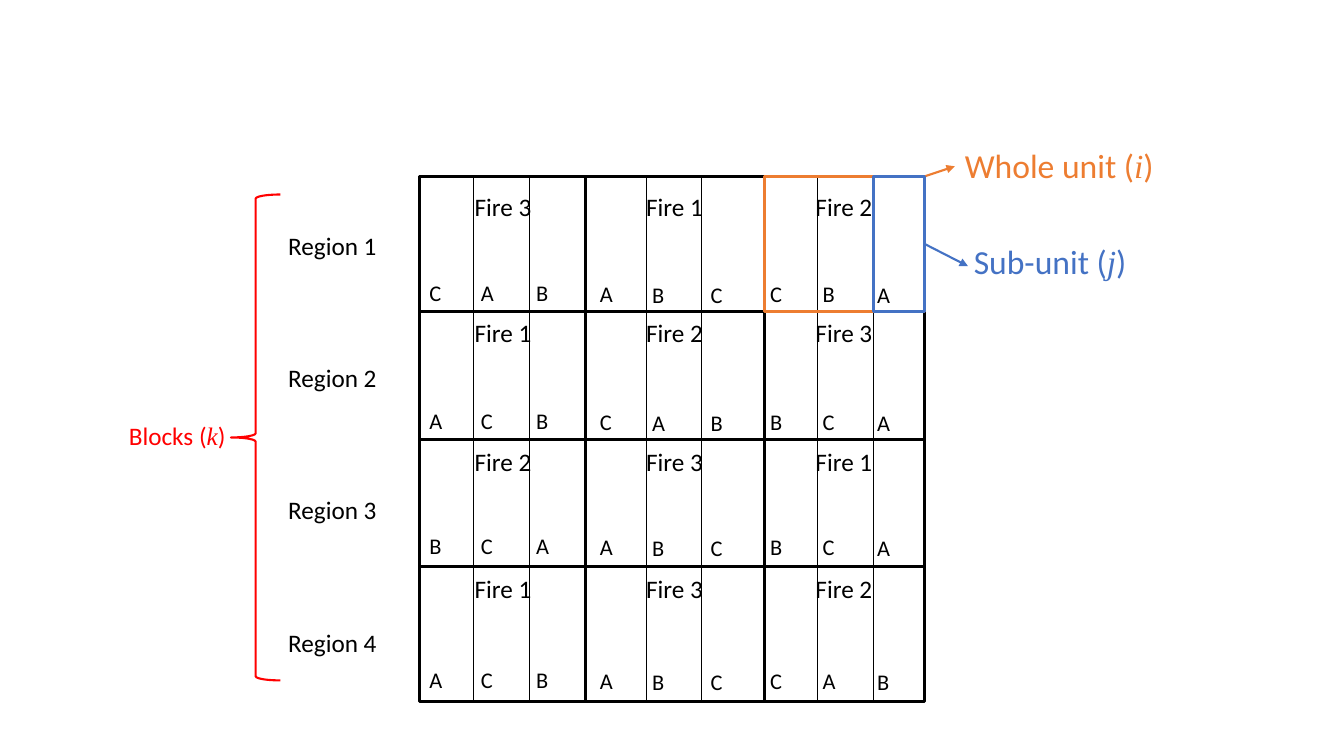
from lxml import etree
from pptx import Presentation
from pptx import util as u
from pptx.dml.color import RGBColor
from pptx.enum import shapes, text
from pptx.oxml import ns

BLACK = RGBColor(0x00, 0x00, 0x00)
ORANGE = RGBColor(0xED, 0x7D, 0x31)
BLUE = RGBColor(0x44, 0x72, 0xC4)
RED = RGBColor(0xFF, 0x00, 0x00)

# Field edges and the inner divisions of the design
LEFT, TOP, RIGHT, BOTTOM = 4.16, 1.75, 9.17, 6.96
REGION_EDGES = [3.09, 4.36, 5.62]
WHOLE_UNIT_EDGES = [5.81, 7.58]
SUB_UNIT_EDGES = [4.7, 5.25, 6.41, 6.96, 8.11, 8.66]

# Treatments, one row per region
FIRES = ["312", "123", "231", "132"]
FIRE_LEFTS = [4.61, 6.31, 7.99]
FIRE_TOPS = [1.85, 3.1, 4.38, 5.64]
TREATMENTS = ["CABABCCBA", "ACBCABBCA", "BCAABCBCA", "ACBABCCAB"]
TREATMENT_LEFTS = [4.16, 4.67, 5.22, 5.85, 6.37, 6.95, 7.54, 8.06, 8.6]
TREATMENT_TOPS = [2.72, 3.99, 5.23, 6.56]
TREATMENT_DROPS = [0, 0, 0, 0.01, 0.02, 0.02, 0.01, 0.01, 0.02]


def set_attributes(target, values):
    for attribute, value in values.items():
        setattr(target, attribute, value)


def add_outline(slide, preset, box, color, width):
    """Draw an unfilled shape; box is left, top, width, height."""
    outline = slide.shapes.add_shape(preset, *map(u.Inches, box))
    outline.shadow.inherit = False
    outline.fill.background()
    outline.line.color.rgb = color
    outline.line.width = u.Pt(width)


def add_line(slide, start, end, color, width, arrow=False):
    line = slide.shapes.add_connector(
        shapes.MSO_CONNECTOR.STRAIGHT, *map(u.Inches, start + end))
    line.line.color.rgb = color
    line.line.width = u.Pt(width)
    if arrow:
        head = etree.SubElement(line.line._get_or_add_ln(), ns.qn("a:tailEnd"))
        head.set("type", "triangle")
    etree.SubElement(line._element.spPr, ns.qn("a:effectLst"))


def add_label(slide, box, wording, size, color=BLACK, symbol=""):
    """Write a label, with an optional italic symbol in parentheses."""
    frame = slide.shapes.add_textbox(*map(u.Inches, box)).text_frame
    set_attributes(frame, {"word_wrap": False,
                           "auto_size": text.MSO_AUTO_SIZE.SHAPE_TO_FIT_TEXT})
    pieces = [(wording, "Calibri", False)]
    if symbol:
        pieces = [(wording + " (", "Calibri", False),
                  (symbol, "Times New Roman", True),
                  (")", "Calibri", False)]
    for piece, font_name, italic in pieces:
        run = frame.paragraphs[0].add_run()
        run.text = piece
        set_attributes(run.font, {"name": font_name, "size": u.Pt(size),
                                  "italic": italic})
        run.font.color.rgb = color


def add_field(slide):
    add_outline(slide, shapes.MSO_SHAPE.RECTANGLE,
                (LEFT, TOP, RIGHT - LEFT, BOTTOM - TOP), BLACK, 2.25)
    for y in REGION_EDGES:
        add_line(slide, (LEFT, y), (RIGHT, y), BLACK, 2.25)
    for edges, width in ((WHOLE_UNIT_EDGES, 2.25), (SUB_UNIT_EDGES, 0.75)):
        for x in edges:
            add_line(slide, (x, TOP), (x, BOTTOM), BLACK, width)


def add_treatments(slide):
    for fires, top in zip(FIRES, FIRE_TOPS):
        for fire, left in zip(fires, FIRE_LEFTS):
            add_label(slide, (left, top, 0.77, 0.4), f"Fire {fire}", 18)
    for letters, top in zip(TREATMENTS, TREATMENT_TOPS):
        for letter, left, drop in zip(letters, TREATMENT_LEFTS, TREATMENT_DROPS):
            add_label(slide, (left, top + drop, 0.32, 0.37), letter, 16)


def add_unit(slide, left, color, arrow_start, arrow_end, label_box, wording, symbol):
    """Frame a unit of the top region and point to its label."""
    add_outline(slide, shapes.MSO_SHAPE.RECTANGLE,
                (left, TOP, RIGHT - left, REGION_EDGES[0] - TOP), color, 2.25)
    add_line(slide, arrow_start, arrow_end, color, 1.5, arrow=True)
    add_label(slide, label_box, wording, 24, color, symbol)


def add_blocks(slide):
    for index in range(4):
        add_label(slide, (2.76, 2.24 + 1.31 * index, 1.09, 0.4),
                  f"Region {index + 1}", 18)
    add_outline(slide, shapes.MSO_SHAPE.LEFT_BRACE, (2.29, 1.93, 0.49, 4.82), RED, 1.5)
    add_label(slide, (1.18, 4.12, 1.17, 0.4), "Blocks", 18, RED, "k")


def main():
    deck = Presentation()
    set_attributes(deck, {"slide_width": u.Inches(13.33),
                          "slide_height": u.Inches(7.5)})
    slide = deck.slides.add_slide(deck.slide_layouts[6])

    # Split-plot field with its treatments
    add_field(slide)
    add_treatments(slide)

    # Highlighted units
    add_unit(slide, WHOLE_UNIT_EDGES[-1], ORANGE, (RIGHT, TOP), (9.47, 1.65),
             (9.47, 1.39, 2.08, 0.5), "Whole unit", "i")
    add_unit(slide, SUB_UNIT_EDGES[-1], BLUE, (RIGHT, 2.42), (9.6, 2.64),
             (9.56, 2.34, 1.73, 0.5), "Sub-unit", "j")

    # Regions gathered as blocks
    add_blocks(slide)

    deck.save("out.pptx")


main()
